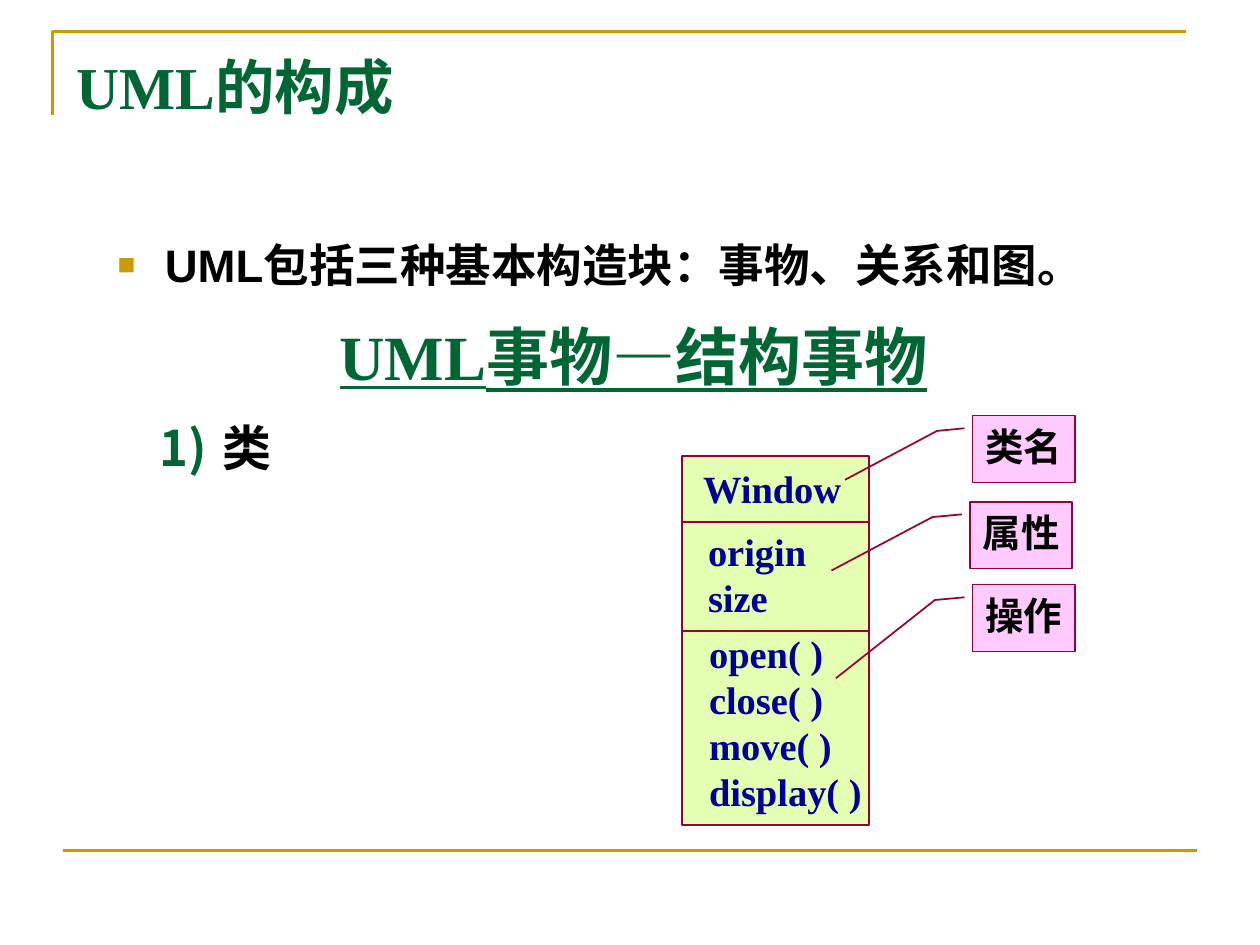
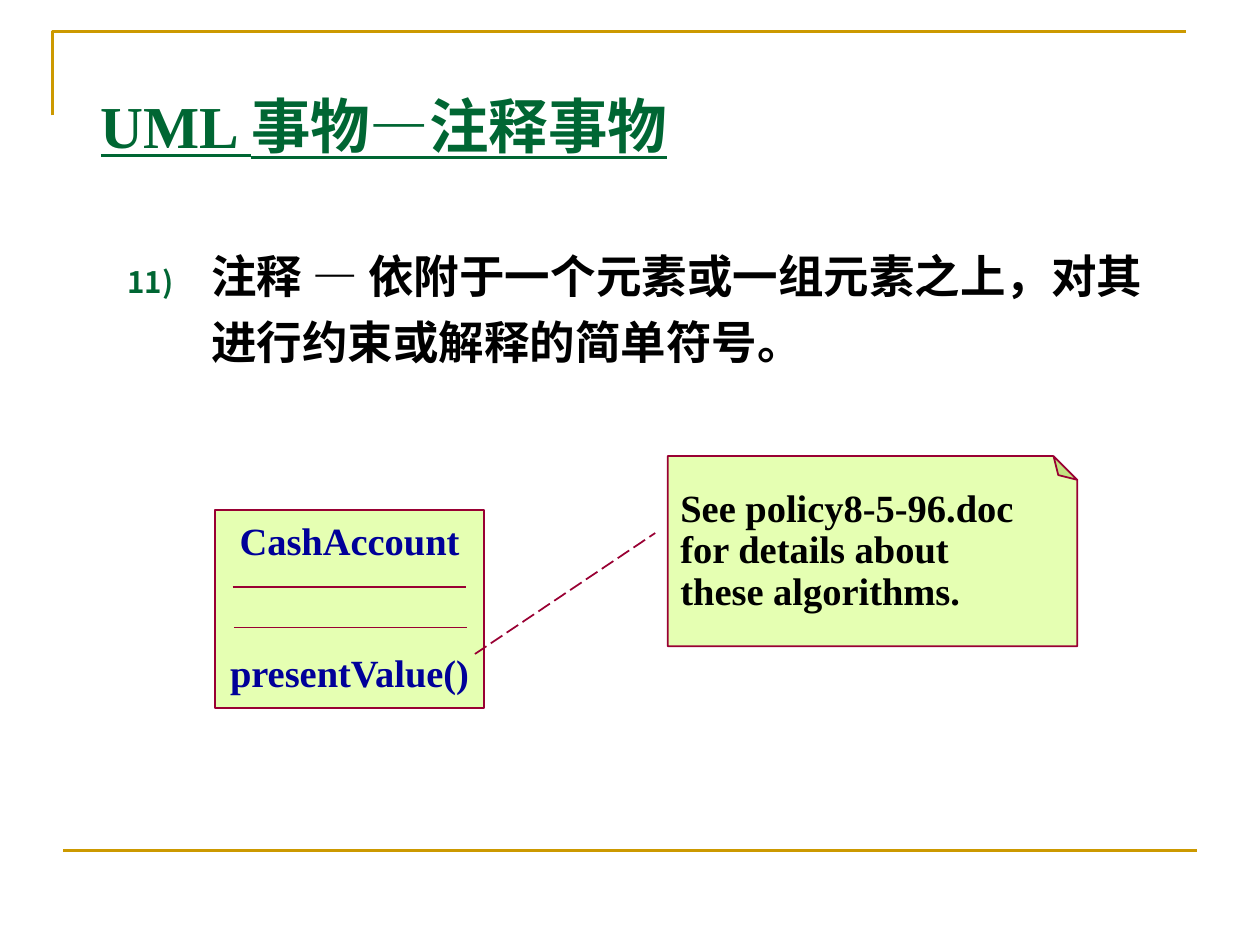
"""Build two slides on UML things: structural things and annotational things."""
from lxml import etree
from pptx import Presentation
from pptx.dml.color import RGBColor
from pptx.enum import dml, shapes, text
from pptx.oxml.ns import qn
from pptx.util import Pt

GOLD = RGBColor(0xCC, 0x99, 0x00)
GREEN = RGBColor(0x00, 0x66, 0x33)
BLACK = RGBColor(0x00, 0x00, 0x00)
NAVY = RGBColor(0x00, 0x00, 0x99)
MAROON = RGBColor(0x99, 0x00, 0x33)
LIME = RGBColor(0xCC, 0xFF, 0x66)
PINK = RGBColor(0xFF, 0x99, 0xFF)

SERIF, SANS = "Times New Roman", "Arial"
TITLE = dict(name=SERIF, size=Pt(34), bold=True, color=GREEN)
TITLE_LINED = dict(TITLE, underline=True)
SUBTITLE = dict(TITLE_LINED, size=Pt(36))
BODY = dict(name=SANS, size=Pt(26), bold=True, color=BLACK)
ITEM = dict(name=SERIF, size=Pt(28), bold=True, color=BLACK)
LABEL = dict(ITEM, size=Pt(22))
MEMBER = dict(LABEL, color=NAVY)

LEFT, CENTER = text.PP_ALIGN.LEFT, text.PP_ALIGN.CENTER
TOP, MIDDLE, BOTTOM = (text.MSO_ANCHOR.TOP, text.MSO_ANCHOR.MIDDLE,
                       text.MSO_ANCHOR.BOTTOM)


def sub(parent, tag, **attrs):
    """Append a DrawingML element with the given attributes."""
    el = etree.SubElement(parent, qn(tag))
    for key, value in attrs.items():
        el.set(key, str(value))
    return el


def write(sp, lines, style, align=LEFT, anchor=TOP, wrap=True,
          inset=(7.2, 3.6), spacing=1.0, gap=0):
    """Fill a shape with one paragraph per line in the given style."""
    tf = sp.text_frame
    side, end = map(Pt, inset)
    frame = dict(auto_size=text.MSO_AUTO_SIZE.NONE, word_wrap=wrap,
                 vertical_anchor=anchor, margin_left=side, margin_right=side,
                 margin_top=end, margin_bottom=end)
    for key, value in frame.items():
        setattr(tf, key, value)
    for i, line in enumerate(lines):
        p = tf.paragraphs[0] if i == 0 else tf.add_paragraph()
        p.alignment, p.line_spacing = align, spacing
        p.space_before = Pt(gap if i else 0)
        r = p.add_run()
        r.text = line
        for key, value in style.items():
            if key == "color":
                r.font.color.rgb = value
            else:
                setattr(r.font, key, value)
    return tf


def bullet(p, indent, color, percent, char=None, start=1):
    """Give a paragraph a hanging bullet, or a number when char is None."""
    pPr = p._p.get_or_add_pPr()
    pPr.set("marL", str(Pt(indent)))
    pPr.set("indent", str(-Pt(indent)))
    sub(sub(pPr, "a:buClr"), "a:srgbClr", val=color)
    sub(pPr, "a:buSzPct", val=percent * 1000)
    if char:
        sub(pPr, "a:buFont", typeface=SANS)
        sub(pPr, "a:buChar", char=char)
    else:
        sub(pPr, "a:buAutoNum", type="arabicParenR", startAt=start)


def place(sp, box):
    """Move a placeholder to a box in points."""
    for key, value in zip(("left", "top", "width", "height"), box):
        setattr(sp, key, Pt(value))
    return sp


def add_line(s, x1, y1, x2, y2, color=MAROON, width=1, dash=None):
    """Draw a straight line between two points."""
    ln = s.shapes.add_connector(shapes.MSO_CONNECTOR.STRAIGHT,
                                *map(Pt, (x1, y1, x2, y2)))
    ln.line.color.rgb, ln.line.width = color, Pt(width)
    if dash:
        ln.line.dash_style = dash
    sub(ln._element.spPr, "a:effectLst")
    return ln


def add_panel(s, kind, box, fill, **adjust):
    """Draw a half-transparent outlined preset shape."""
    sp = s.shapes.add_shape(kind, *map(Pt, box))
    sp.shadow.inherit = False
    sp.fill.solid()
    sp.fill.fore_color.rgb = fill
    sub(sp._element.spPr.find(".//" + qn("a:srgbClr")), "a:alpha", val=50000)
    sp.line.color.rgb, sp.line.width = MAROON, Pt(1)
    guides = sp._element.spPr.find(".//" + qn("a:avLst"))
    for gd in list(guides):
        guides.remove(gd)
    for name, value in adjust.items():
        sub(guides, "a:gd", name=name, fmla=f"val {round(value * 100000)}")
    return sp


def add_text(s, box, lines, style, **layout):
    """Add a text box with styled lines."""
    sp = s.shapes.add_textbox(*map(Pt, box))
    return write(sp, lines, style, **layout)


def frame_master(prs, s):
    """Draw the gold rules and move them from a slide to the master."""
    fb = s.shapes.build_freeform(Pt(30), Pt(66))
    fb.add_line_segments([(Pt(30), Pt(18)), (Pt(678), Pt(18))], close=False)
    corner = fb.convert_to_shape()
    corner.shadow.inherit = False
    corner.fill.background()
    corner.line.color.rgb, corner.line.width = GOLD, Pt(1.5)
    base = add_line(s, 36, 486, 684, 486, GOLD, 1.5)
    for sp in (corner, base):
        prs.slide_master.shapes._spTree.append(sp._element)


def add_heads(s, title, title_box, style, body, body_box, spacing=1.0):
    """Fill the title and body placeholders and return the body paragraph."""
    write(place(s.shapes.title, title_box), [title], style)
    tf = write(place(s.placeholders[1], body_box), [body], BODY,
               spacing=spacing)
    return tf.paragraphs[0]


def window_class(s, box):
    """Draw the three-part class with its member lists."""
    x, y, w, h = box
    add_panel(s, shapes.MSO_SHAPE.RECTANGLE, box, LIME)
    for dy in (37.5, 100):
        add_line(s, x + 1, y + dy, x + w, y + dy)
    add_text(s, (x + 5, y + 1.5, 93.6, 34), ["Window"], MEMBER,
             align=CENTER, wrap=False)
    add_text(s, (x + 8, y + 37.5, 82, 60), ["origin", "size"], MEMBER)
    add_text(s, (x + 8.6, y + 95.8, 104, 113),
             ["open( )", "close( )", "move( )", "display( )"], MEMBER)


def part_labels(s, x, y):
    """Draw the callouts that name the parts of the class."""
    labels = (("类名", 1.4, 0, -0.35, 0.96, -1.25),
              ("属性", 0, 49.2, -0.37, 1.03, -1.36),
              ("操作", 1.4, 96.6, -0.37, 1.4, -1.34))
    for name, dx, dy, bend_x, end_y, end_x in labels:
        sp = add_panel(s, shapes.MSO_SHAPE.LINE_CALLOUT_2,
                       (x + dx, y + dy, 58.3, 38.2), PINK,
                       adj1=0.19, adj2=-0.08, adj3=0.23, adj4=bend_x,
                       adj5=end_y, adj6=end_x)
        write(sp, [name], LABEL, align=CENTER, anchor=MIDDLE, wrap=False,
              inset=(7.2, 0), spacing=0.9)


def account_class(s, box):
    """Draw the class box with an empty attribute part."""
    x, y, w, h = box
    sp = add_panel(s, shapes.MSO_SHAPE.RECTANGLE, box, LIME)
    write(sp, ["CashAccount", "presentValue()"], MEMBER, align=CENTER,
          anchor=MIDDLE, wrap=False, inset=(7.2, 7.2), spacing=0.9, gap=52)
    for dx, dy in ((10, 43.9), (10.7, 67)):
        add_line(s, x + dx, y + dy, x + dx + 133.2, y + dy)


def note(s, box, content):
    """Draw a note, turned so that its folded corner is at the top right."""
    x, y, w, h = box
    turned = (x + (w - h) / 2, y + (h - w) / 2, h, w)
    sp = add_panel(s, shapes.MSO_SHAPE.FOLDED_CORNER, turned, LIME, adj=0.125)
    sp.rotation = 270
    tf = write(sp, [content], LABEL, anchor=MIDDLE, inset=(7.2, 7.2),
               spacing=0.9)
    tf._txBody.bodyPr.set("vert", "eaVert")


def structural_slide(s):
    """Build the slide on classes."""
    p = add_heads(s, "UML的构成", (36.7, 25.2, 648, 70.6), TITLE,
                  "UML包括三种基本构造块：事物、关系和图。",
                  (60, 132, 612, 324))
    bullet(p, 27, GOLD, 65, "■")
    add_text(s, (56, 163.4, 612, 64.8), ["UML事物—结构事物"], SUBTITLE,
             align=CENTER, anchor=BOTTOM)
    window_class(s, (389.5, 260.6, 107.3, 211))
    part_labels(s, 554.4, 237.5)
    tf = add_text(s, (84.2, 233.3, 78.5, 42.5), ["类"], ITEM, wrap=False,
                  spacing=1.05)
    bullet(tf.paragraphs[0], 36, GREEN, 100)


def annotation_slide(s):
    """Build the slide on notes."""
    p = add_heads(s, "UML 事物—注释事物", (50.4, 47.5, 600.5, 58.3),
                  TITLE_LINED,
                  "注释 — 依附于一个元素或一组元素之上，对其进行约束或解释的简单符号。",
                  (65.5, 132, 597, 100.8), spacing=1.2)
    bullet(p, 48, GREEN, 65, start=11)
    account_class(s, (123, 291.6, 153.5, 113))
    note(s, (381.6, 260.6, 234, 108.7),
         "See policy8-5-96.doc for details about these algorithms.")
    add_line(s, 271.4, 373.7, 374.4, 304.6, dash=dml.MSO_LINE.LONG_DASH)


def main():
    """Create the presentation and save it."""
    prs = Presentation()
    prs.slide_width, prs.slide_height = Pt(720), Pt(540)
    builders = (structural_slide, annotation_slide)
    slides = [prs.slides.add_slide(prs.slide_layouts[1]) for _ in builders]
    frame_master(prs, slides[0])
    for s, build in zip(slides, builders):
        build(s)
    prs.save("out.pptx")


if __name__ == "__main__":
    main()
